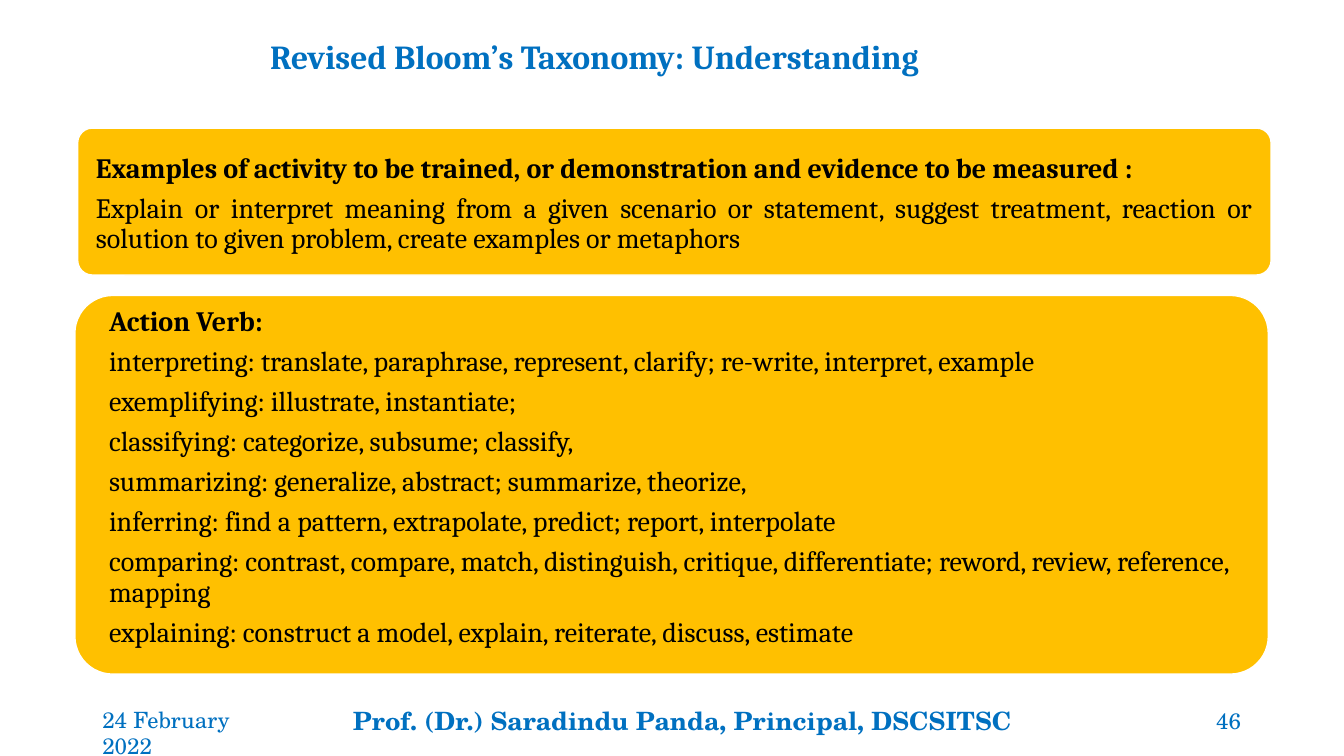
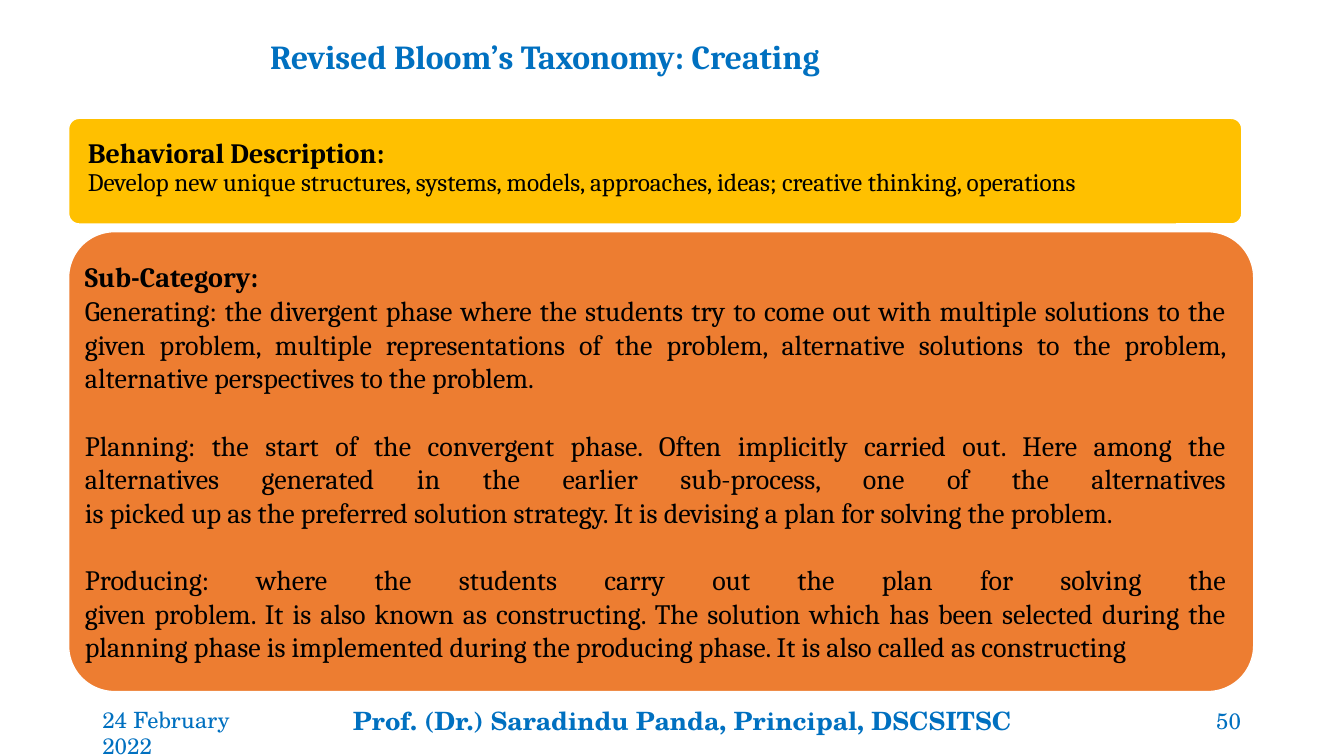
import pptx
import pptx.dml.color
import pptx.enum.shapes
import pptx.enum.text
import pptx.util

Pt = pptx.util.Pt
RGBColor = pptx.dml.color.RGBColor
Align = pptx.enum.text.PP_ALIGN
Anchor = pptx.enum.text.MSO_ANCHOR

BLUE = RGBColor(0x00, 0x70, 0xC0)
GOLD = RGBColor(0xFF, 0xC0, 0x00)
ORANGE = RGBColor(0xED, 0x7D, 0x31)
BLACK = RGBColor(0x00, 0x00, 0x00)
WHITE = RGBColor(0xFF, 0xFF, 0xFF)

BODY_FONT = "Cambria"
FOOTER_FONT = "TeX Gyre Schola"
TITLE_ONLY = 5


class TaxonomyDeck:
    """Holds the shared style and the slide being filled."""

    def __init__(self):
        self.deck = pptx.Presentation()
        self.deck.slide_width = Pt(960)
        self.deck.slide_height = Pt(540)
        self.slide = None

    def set_font(self, para, name, size, color, bold=False):
        para.font.name = name
        para.font.size = Pt(size)
        para.font.color.rgb = color
        para.font.bold = bold

    def add_slide(self, topic, number):
        layout = self.deck.slide_layouts[TITLE_ONLY]
        self.slide = self.deck.slides.add_slide(layout)
        self.add_title(f"Revised Bloom’s Taxonomy: {topic}")
        self.add_footer_text("24 February 2022", 66, 143, 16)
        self.add_footer_text("Prof. (Dr.) Saradindu Panda, Principal, DSCSITSC",
                             245, 490, 18, bold=True)
        self.add_footer_text(str(number), 789, 104.5, 16,
                             align=Align.RIGHT, anchor=Anchor.MIDDLE)

    def add_title(self, text):
        title = self.slide.shapes.title
        title.left, title.top, title.width, title.height = map(
            Pt, (185.75, 23.75, 722, 34.5))
        frame = title.text_frame
        frame.text = text
        frame.auto_size = pptx.enum.text.MSO_AUTO_SIZE.NONE
        frame.vertical_anchor = Anchor.BOTTOM
        para = frame.paragraphs[0]
        para.alignment = Align.JUSTIFY
        para.line_spacing = 1.07
        para.space_after = Pt(8)
        self.set_font(para, BODY_FONT, 24, BLUE, bold=True)

    def add_footer_text(self, text, left, width, size, bold=False,
                        align=Align.LEFT, anchor=Anchor.TOP):
        box = self.slide.shapes.add_textbox(Pt(left), Pt(500.5), Pt(width), Pt(28.75))
        frame = box.text_frame
        frame.word_wrap = True
        frame.vertical_anchor = anchor
        para = frame.paragraphs[0]
        para.text = text
        para.alignment = align
        self.set_font(para, FOOTER_FONT, size, BLUE, bold)

    def add_panel(self, bounds, margins, heading, lines, fill=GOLD, size=20,
                  align=Align.JUSTIFY, spacing=0.9, after=0, gap=0):
        """Draw a rounded panel; gap is the space between its body lines."""
        panel = self.slide.shapes.add_shape(
            pptx.enum.shapes.MSO_SHAPE.ROUNDED_RECTANGLE, *map(Pt, bounds))
        panel.adjustments[0] = 0.1
        panel.shadow.inherit = False
        panel.fill.solid()
        panel.fill.fore_color.rgb = fill
        panel.line.color.rgb = WHITE
        panel.line.width = Pt(1)
        frame = panel.text_frame
        frame.word_wrap = True
        frame.vertical_anchor = Anchor.MIDDLE
        (frame.margin_left, frame.margin_top,
         frame.margin_right, frame.margin_bottom) = map(Pt, margins)
        for index, text in enumerate([heading, *lines]):
            para = frame.paragraphs[0] if index == 0 else frame.add_paragraph()
            para.text = text
            para.alignment = align
            para.line_spacing = spacing
            para.space_before = Pt(gap if index > 1 else 0)
            para.space_after = Pt(after)
            self.set_font(para, BODY_FONT, 20 if index == 0 else size, BLACK,
                          bold=index == 0)

    def save(self):
        self.deck.save("out.pptx")


def main():
    deck = TaxonomyDeck()

    deck.add_slide("Understanding", 46)
    deck.add_panel(
        (55.5, 91.5, 852.5, 105), (10, 4, 10, 0),
        "Examples of activity to be trained, or demonstration and evidence "
        "to be measured :",
        ["Explain or interpret meaning from a given scenario or statement, "
         "suggest treatment, reaction or solution to given problem, create "
         "examples or metaphors"],
        after=7)
    deck.add_panel(
        (53.5, 211, 852.5, 270.5), (16.5, 0, 7, 10),
        "Action Verb:",
        ["interpreting: translate, paraphrase, represent, clarify; re-write, "
         "interpret, example",
         "exemplifying: illustrate, instantiate;",
         "classifying: categorize, subsume; classify,",
         "summarizing: generalize, abstract; summarize, theorize,",
         "inferring: find a pattern, extrapolate, predict; report, interpolate",
         "comparing: contrast, compare, match, distinguish, critique, "
         "differentiate; reword, review, reference, mapping",
         "explaining: construct a model, explain, reiterate, discuss, estimate"],
        align=Align.LEFT, after=7)

    deck.add_slide("Creating", 50)
    deck.add_panel(
        (49, 165.5, 846.5, 328.5), (2, 0, 10, 0),
        "Sub-Category:",
        ["Generating: the divergent phase where the students try to come out "
         "with multiple solutions to the given problem, multiple "
         "representations of the problem, alternative solutions to the "
         "problem, alternative perspectives to the problem.",
         "Planning: the start of the convergent phase. Often implicitly "
         "carried out. Here among the alternatives generated in the earlier "
         "sub-process, one of the alternatives\nis picked up as the preferred "
         "solution strategy. It is devising a plan for solving the problem.",
         "Producing: where the students carry out the plan for solving the\n"
         "given problem. It is also known as constructing. The solution which "
         "has been selected during the planning phase is implemented during "
         "the producing phase. It is also called as constructing"],
        fill=ORANGE, spacing=1.0, gap=24)
    deck.add_panel(
        (49, 84.5, 838, 75.5), (11.5, 0, 10, 4),
        "Behavioral Description:",
        ["Develop new unique structures, systems, models, approaches, ideas; "
         "creative thinking, operations"],
        size=18)

    deck.save()


if __name__ == "__main__":
    main()
